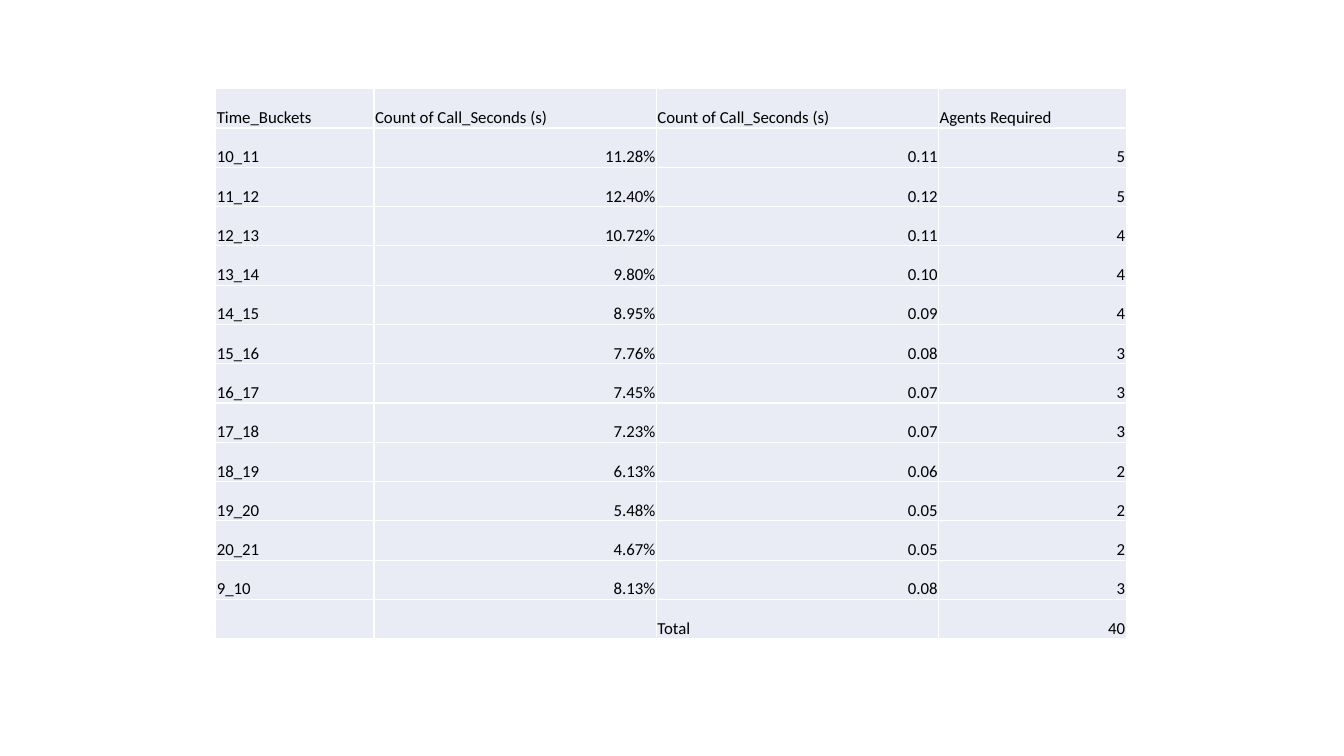
from dataclasses import dataclass
from lxml.etree import SubElement as Sub
from pptx import Presentation
from pptx.dml.color import RGBColor as RGB
from pptx.enum.text import MSO_ANCHOR as Anchor, PP_ALIGN as Align
from pptx.oxml.ns import qn
from pptx.util import Inches, Pt


@dataclass(frozen=True)
class Theme:
    """Colours, type and line sizes."""
    font: str = "Calibri"
    size: int = 12
    ink: str = "000000"
    fill: str = "E9EBF5"
    rule: str = "FFFFFF"
    width: int = 1


THEME = Theme()
WIDE, HIGH = 13.33, 7.5
LEFT, TOP = 2.14, 0.88
COLS = (1.57, 2.8, 2.8, 1.86)
ROW = 0.39
COUNT = "Count of Call_Seconds (s)"
HEAD = ("Time_Buckets", COUNT, COUNT, "Agents Required")
CALLS = (
    ("10_11", 11.28, 5), ("11_12", 12.40, 5), ("12_13", 10.72, 4),
    ("13_14", 9.80, 4), ("14_15", 8.95, 4), ("15_16", 7.76, 3),
    ("16_17", 7.45, 3), ("17_18", 7.23, 3), ("18_19", 6.13, 2),
    ("19_20", 5.48, 2), ("20_21", 4.67, 2), ("9_10", 8.13, 3),
)
CELL = {
    "vertical_anchor": Anchor.BOTTOM,
    "margin_left": Inches(0.01),
    "margin_right": Inches(0.01),
    "margin_top": Inches(0.01),
    "margin_bottom": 0,
}
FONT = {"name": THEME.font, "size": Pt(THEME.size), "bold": False}
PLAIN = {"first_row": False, "horz_banding": False}


def apply(item, form):
    """Set each format value on the item."""
    for name, value in form.items():
        setattr(item, name, value)


def get_rows():
    """Yield the head, one row per time bucket, and the total."""
    yield HEAD
    for time, share, staff in CALLS:
        yield time, f"{share:.2f}%", f"{share / 100:.2f}", str(staff)
    yield "", "", "Total", str(sum(staff for _, _, staff in CALLS))


def add_rules(cell):
    """Draw the four borders of a cell."""
    props = cell._tc.get_or_add_tcPr()
    for side in "LRTB":
        line = Sub(props, qn(f"a:ln{side}"), w=str(Pt(THEME.width)))
        Sub(Sub(line, qn("a:solidFill")), qn("a:srgbClr"), val=THEME.rule)


def fill_cell(cell, text, right):
    """Format a cell and write its text."""
    apply(cell, CELL)
    add_rules(cell)
    cell.fill.solid()
    cell.fill.fore_color.rgb = RGB.from_string(THEME.fill)
    para = cell.text_frame.paragraphs[0]
    para.alignment = Align.RIGHT if right else Align.LEFT
    apply(para.font, FONT)
    if text:
        run = para.add_run()
        run.text = text
        apply(run.font, FONT)
        run.font.color.rgb = RGB.from_string(THEME.ink)


def add_grid(slide, rows):
    """Add the table with numbers set to the right."""
    box = map(Inches, (LEFT, TOP, sum(COLS), ROW * len(rows)))
    grid = slide.shapes.add_table(len(rows), len(COLS), *box).table
    apply(grid, PLAIN)
    for col, width in zip(grid.columns, COLS):
        col.width = Inches(width)
    for y, row in enumerate(rows):
        grid.rows[y].height = Inches(ROW)
        for x, text in enumerate(row):
            fill_cell(grid.cell(y, x), text, x > 0 and text[:1].isdigit())


def main():
    """Build and save the slide."""
    deck = Presentation()
    apply(deck, {"slide_width": Inches(WIDE), "slide_height": Inches(HIGH)})
    slide = deck.slides.add_slide(deck.slide_layouts[6])
    add_grid(slide, list(get_rows()))
    deck.save("out.pptx")


main()
